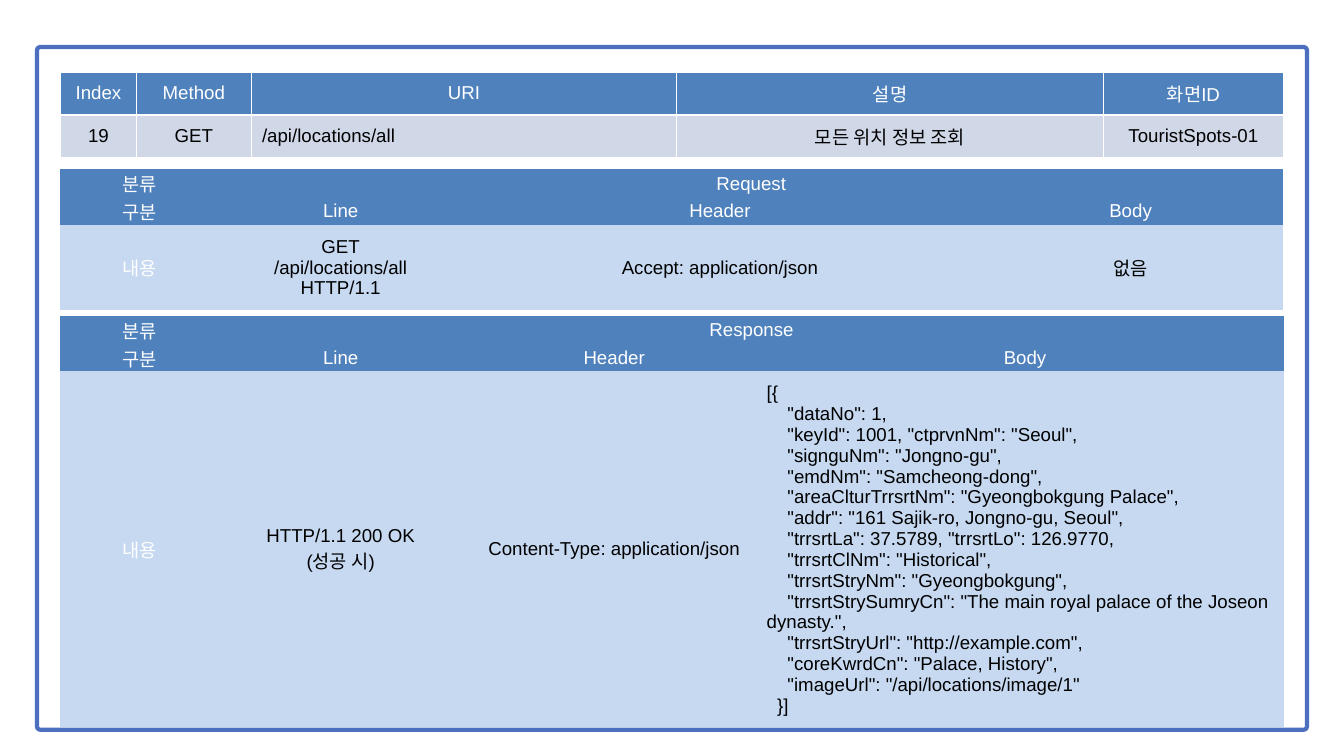
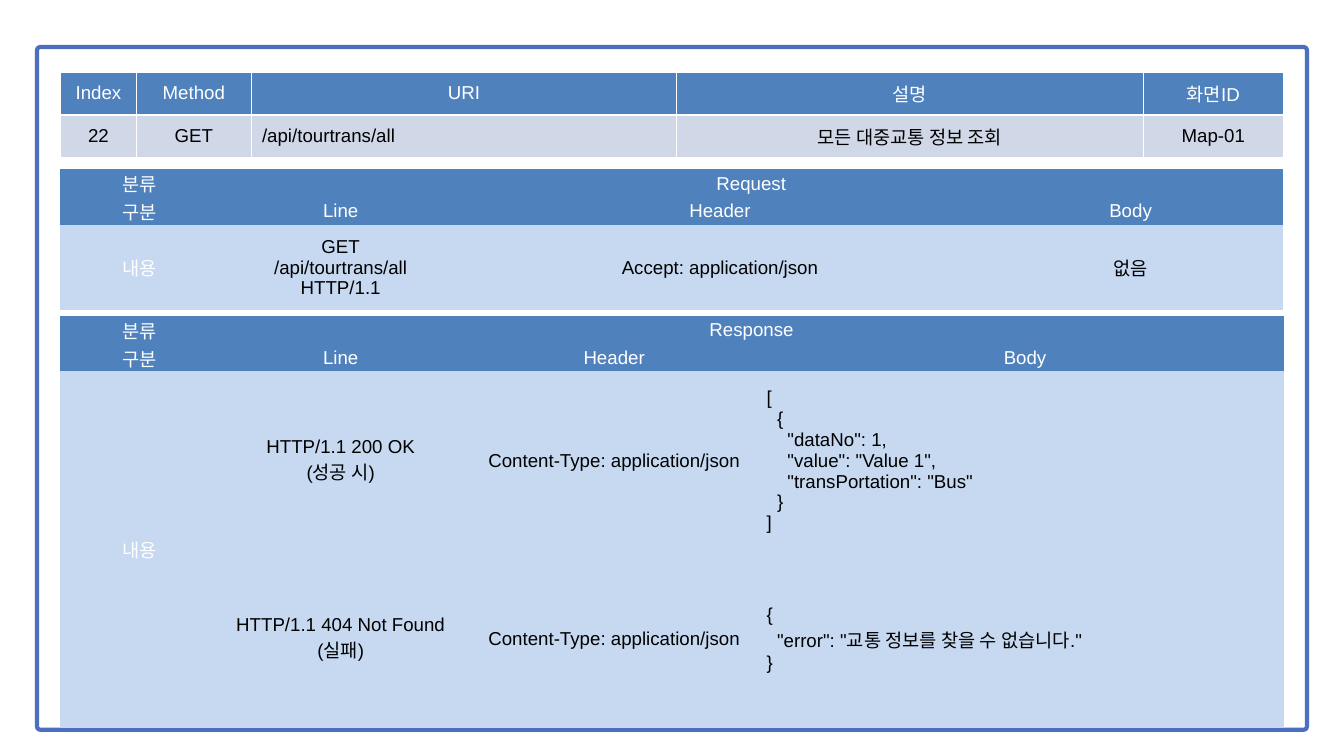
from pptx import Presentation
from pptx.dml.color import RGBColor
from pptx.enum.shapes import MSO_SHAPE
from pptx.enum.text import MSO_ANCHOR, PP_ALIGN
from pptx.oxml import parse_xml
from pptx.oxml.ns import nsdecls
from pptx.util import Inches, Pt

FONT, SIZE = "Arial", 20
WHITE, BLACK = "FFFFFF", "000000"
FRAME, HEAD, BODY, ENTRY = "4C6FBF", "4F81BD", "C6D9F1", "D0D8E8"
LEFT = 0.9
NO_STYLE = "{2D5ABB26-0587-4C30-8999-92F81FD0307C}"
JSON = "Content-Type: application/json"
OK = "HTTP/1.1 200 OK\n(성공 시)"

PLACES = '''[{
    "dataNo": 1,
    "keyId": 1001, "ctprvnNm": "Seoul",
    "signguNm": "Jongno-gu",
    "emdNm": "Samcheong-dong",
    "areaClturTrrsrtNm": "Gyeongbokgung Palace",
    "addr": "161 Sajik-ro, Jongno-gu, Seoul",
    "trrsrtLa": 37.5789, "trrsrtLo": 126.9770,
    "trrsrtClNm": "Historical",
    "trrsrtStryNm": "Gyeongbokgung",
    "trrsrtStrySumryCn": "The main royal palace of the Joseon dynasty.",
    "trrsrtStryUrl": "http://example.com",
    "coreKwrdCn": "Palace, History",
    "imageUrl": "/api/locations/image/1"
  }]'''

TRANSIT = '''[
  {
    "dataNo": 1,
    "value": "Value 1",
    "transPortation": "Bus"
  }
]'''

MISSING = '''{
  "error": "교통 정보를 찾을 수 없습니다."
}'''


def color(code):
    return RGBColor.from_string(code)


class Deck:
    def __init__(self):
        self.prs = Presentation()
        self.prs.slide_width = Inches(20)
        self.prs.slide_height = Inches(11.25)
        self.slide = None

    def page(self):
        self.slide = self.prs.slides.add_slide(self.prs.slide_layouts[6])

    def frame(self):
        box = self.slide.shapes.add_shape(
            MSO_SHAPE.ROUNDED_RECTANGLE,
            Inches(0.55), Inches(0.7), Inches(18.9), Inches(10.16))
        box.adjustments[0] = 0.005
        box.shadow.inherit = False
        box.fill.solid()
        box.fill.fore_color.rgb = color(WHITE)
        box.line.color.rgb = color(FRAME)
        box.line.width = Pt(4.5)

    def grid(self, top, cols, rows):
        """Add an unstyled table with the given column widths and row heights."""
        item = self.slide.shapes.add_table(
            len(rows), len(cols), Inches(LEFT), Inches(top),
            Inches(sum(cols)), Inches(sum(rows)))
        table = item.table
        table._tbl.tblPr.find("{*}tableStyleId").text = NO_STYLE
        for col, width in zip(table.columns, cols):
            col.width = Inches(width)
        for row, height in zip(table.rows, rows):
            row.height = Inches(height)
        return table

    def cell(self, cell, text, fill, ink, pad, left=False):
        cell.text = text
        cell.vertical_anchor = MSO_ANCHOR.MIDDLE
        (cell.margin_left, cell.margin_top,
         cell.margin_right, cell.margin_bottom) = [Inches(p) for p in pad]
        cell.fill.solid()
        cell.fill.fore_color.rgb = color(fill)
        for para in cell.text_frame.paragraphs:
            para.alignment = PP_ALIGN.LEFT if left else PP_ALIGN.CENTER
            para.font.name = FONT
            para.font.size = Pt(SIZE)
            para.font.color.rgb = color(ink)

    def edges(self, cell, base):
        """Draw white borders; base is the width of the bottom one."""
        for side, width in zip("LRTB", (1, 1, 1, base)):
            cell._tc.get_or_add_tcPr().append(parse_xml(
                f'<a:ln{side} {nsdecls("a")} w="{Pt(width)}"><a:solidFill>'
                f'<a:srgbClr val="{WHITE}"/></a:solidFill></a:ln{side}>'))

    def index(self, entry, wide):
        """Add the summary table; wide is the width of the description."""
        cols = [1.13, 1.71, 6.33, wide, 9.03 - wide]
        table = self.grid(1.07, cols, [0.64] * 2)
        heads = ["Index", "Method", "URI", "설명", "화면ID"]
        looks = [(heads, HEAD, WHITE, 3), (entry, ENTRY, BLACK, 1)]
        for r, (texts, fill, ink, base) in enumerate(looks):
            for c, text in enumerate(texts):
                cell = table.cell(r, c)
                self.edges(cell, base)
                self.cell(cell, text, fill, ink, (0.16, 0.08, 0.16, 0.08),
                          left=(r, c) == (1, 2))

    def message(self, title, top, cols, rows, parts, code=False):
        """Add a request or response table with one row for each part."""
        table = self.grid(top, cols, rows)
        texts = [["분류", title, "", ""], ["구분", "Line", "Header", "Body"]]
        texts += [["" if i else "내용", *part] for i, part in enumerate(parts)]
        for r, line in enumerate(texts):
            for c, text in enumerate(line):
                head = r < 2
                self.cell(table.cell(r, c), text, HEAD if head else BODY,
                          WHITE if head or c == 0 else BLACK,
                          (0.01, 0.01, 0.01, 0),
                          left=code and not head and c == 3)
        table.cell(0, 1).merge(table.cell(0, 3))
        if len(parts) > 1:
            table.cell(2, 0).merge(table.cell(len(rows) - 1, 0))

    def api(self, number, uri, about, screen, wide, replies, heights):
        """Build one whole slide for a GET call."""
        self.page()
        self.frame()
        self.message("Request", 2.52, [2.36, 3.62, 7.67, 4.55],
                     [0.25, 0.23, 1.26],
                     [(f"GET\n{uri}\nHTTP/1.1",
                       "Accept: application/json", "없음")])
        self.message("Response", 4.7, [2.36, 3.62, 4.52, 7.71],
                     [0.33, 0.33, *heights], replies, code=True)
        self.index([number, "GET", uri, about, screen], wide)


def main():
    deck = Deck()
    # Locations
    deck.api("19", "/api/locations/all", "모든 위치 정보 조회",
             "TouristSpots-01", 6.35, [(OK, JSON, PLACES)], [5.29])
    # Public transport
    deck.api("22", "/api/tourtrans/all", "모든 대중교통 정보 조회",
             "Map-01", 6.94,
             [(OK, JSON, TRANSIT),
              ("HTTP/1.1 404 Not Found\n(실패)", JSON, MISSING)],
             [2.65] * 2)
    deck.prs.save("out.pptx")


if __name__ == "__main__":
    main()
